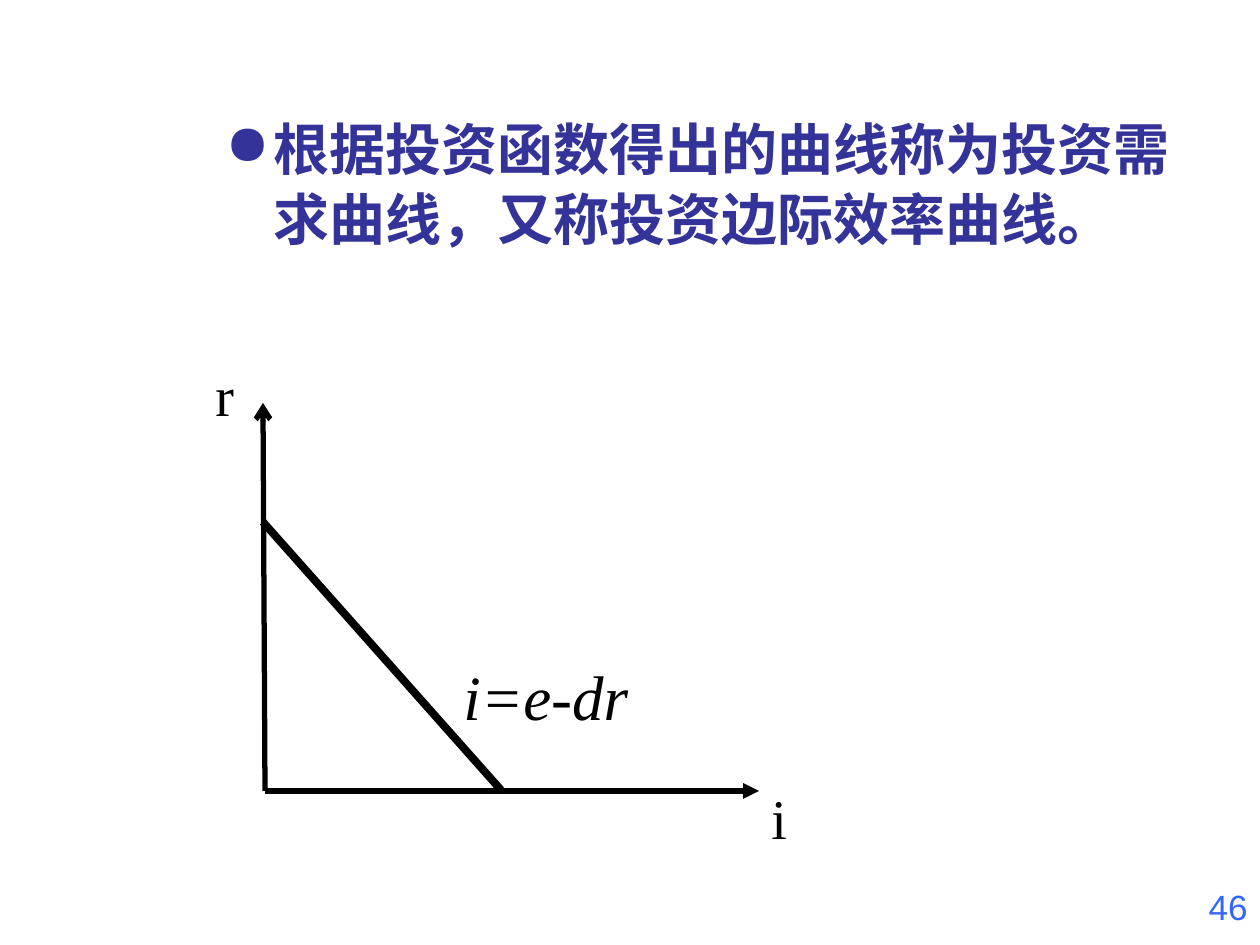
from dataclasses import dataclass

from lxml.etree import SubElement
from pptx import Presentation
from pptx.dml.color import RGBColor
from pptx.enum.shapes import MSO_CONNECTOR
from pptx.enum.text import PP_ALIGN
from pptx.oxml.ns import qn
from pptx.util import Emu, Pt

SCALE = 914400 / 126


def emu(px):
    return Emu(round(px * SCALE))


@dataclass(frozen=True)
class Theme:
    ink: str = "000000"
    navy: str = "333399"
    blue: str = "3366FF"
    sans: str = "Arial"
    serif: str = "Times New Roman"
    small: int = 20
    body: int = 32
    large: int = 36
    axis: float = 3
    curve: float = 4.5


class Deck:
    def __init__(self, theme):
        self.theme = theme
        self.show = Presentation()
        self.show.slide_width = emu(1260)
        self.show.slide_height = emu(945)
        self.slide = self.show.slides.add_slide(self.show.slide_layouts[6])

    def text(self, words, box, size, color, face, bold=False, italic=False):
        frame = self.slide.shapes.add_textbox(*map(emu, box)).text_frame
        frame.word_wrap = True
        para = frame.paragraphs[0]
        para.text = words
        font = para.font
        font.name, font.size = face, Pt(size)
        font.bold, font.italic = bold, italic
        font.color.rgb = RGBColor.from_string(color)
        return para

    def bullet(self, words, box, indent):
        look = self.theme
        para = self.text(words, box, look.body, look.navy, look.sans, bold=True)
        props = para._p.get_or_add_pPr()
        props.set("marL", str(emu(indent)))
        props.set("indent", str(-emu(indent)))
        base = props.find(qn("a:defRPr"))
        SubElement(base, qn("a:ea"), typeface=look.sans)
        # Bullet marks go ahead of the text defaults
        tint = SubElement(props, qn("a:buClr"))
        SubElement(tint, qn("a:srgbClr"), val=look.navy)
        SubElement(props, qn("a:buChar"), char="●")
        props.append(base)
        para.line_spacing = 1.04

    def label(self, words, box, size, italic=False):
        look = self.theme
        self.text(words, box, size, look.ink, look.serif, italic=italic)

    def line(self, start, end, width, head=None):
        link = self.slide.shapes.add_connector(
            MSO_CONNECTOR.STRAIGHT, *map(emu, start + end))
        link.line.width = Pt(width)
        link.line.color.rgb = RGBColor.from_string(self.theme.ink)
        props = link._element.spPr
        if head:
            SubElement(props.find(qn("a:ln")), qn("a:tailEnd"), type=head)
        SubElement(props, qn("a:effectLst"))


def main():
    look = Theme()
    deck = Deck(look)

    # Page number
    page = deck.text("46", (966, 879, 294, 66), look.small, look.blue, look.sans)
    page.alignment = PP_ALIGN.RIGHT

    # Statement
    deck.bullet("根据投资函数得出的曲线称为投资需求曲线，又称投资边际效率曲线。",
                (213, 106, 993, 735), 48)

    # Axes and demand curve
    origin = (265, 791)
    deck.line(origin, (759, 791), look.axis, "triangle")
    deck.line(origin, (263, 403), look.axis, "arrow")
    deck.line((263, 522), (501, 790), look.curve)

    # Labels
    deck.label("i", (759, 777, 84, 81), look.body)
    deck.label("r", (203, 354, 73, 81), look.body)
    deck.label("i=e-dr", (451, 651, 208, 88), look.large, italic=True)

    deck.show.save("out.pptx")


if __name__ == "__main__":
    main()
